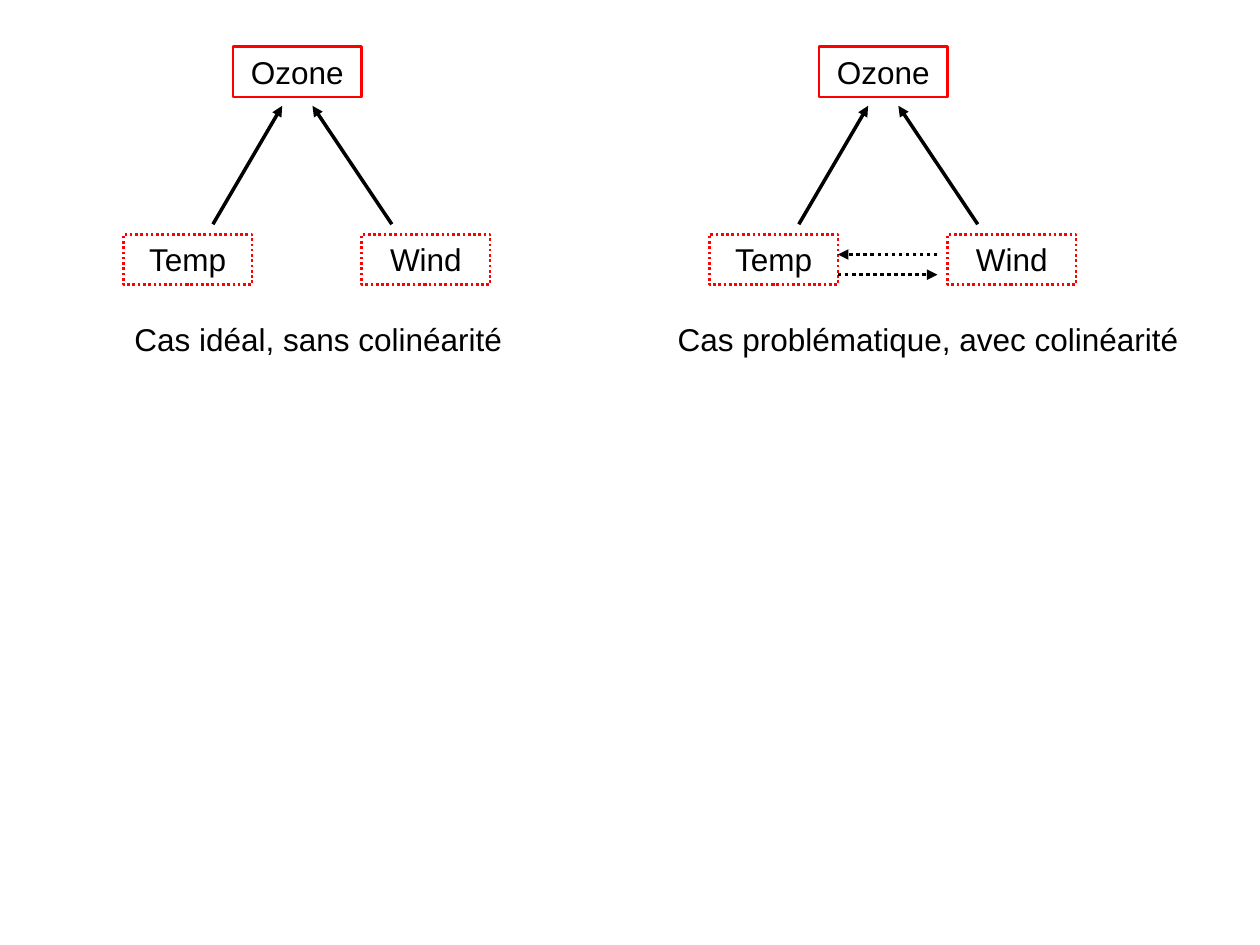
from dataclasses import dataclass

import pptx
import pptx.dml.color
import pptx.enum.dml
import pptx.enum.shapes
import pptx.enum.text
import pptx.oxml.ns
import pptx.util
from lxml import etree

Inches = pptx.util.Inches
DOTTED = pptx.enum.dml.MSO_LINE.ROUND_DOT
RED, BLACK = "FF0000", "000000"
BOX_W, BOX_H = 1.02, 0.4
FONT = {"name": "Arial", "size": pptx.util.Pt(18)}
FRAME = {
    "word_wrap": True,
    "vertical_anchor": pptx.enum.text.MSO_ANCHOR.TOP,
    "margin_left": Inches(0.1),
    "margin_right": Inches(0.1),
    "margin_top": Inches(0.05),
    "margin_bottom": Inches(0.05),
}


@dataclass
class Node:
    text: str
    x: float
    y: float
    dotted: bool = False


@dataclass
class Arrow:
    x1: float
    y1: float
    x2: float
    y2: float
    dotted: bool = False


@dataclass
class Diagram:
    x: float
    caption: str
    caption_x: float
    caption_w: float
    links: list[Arrow]


# Positions inside a diagram, measured from its left edge
NODES = [
    Node("Ozone", 0.87, 0.37),
    Node("Wind", 1.89, 1.86, True),
    Node("Temp", 0, 1.86, True),
]
EFFECTS = [Arrow(0.71, 1.78, 1.26, 0.84), Arrow(2.13, 1.78, 1.5, 0.84)]
COLLINEARITY = [
    Arrow(1.81, 2.02, 1.02, 2.02, True),
    Arrow(1.02, 2.18, 1.81, 2.18, True),
]
DIAGRAMS = [
    Diagram(0.98, "Cas idéal, sans colinéarité", 0.83, 3.39, []),
    Diagram(5.63, "Cas problématique, avec colinéarité", 5.16, 4.41, COLLINEARITY),
]


def rgb(color: str) -> pptx.dml.color.RGBColor:
    return pptx.dml.color.RGBColor.from_string(color)


def format_line(line, color: str, width: float, dotted: bool) -> None:
    line.color.rgb = rgb(color)
    line.width = pptx.util.Pt(width)
    if dotted:
        line.dash_style = DOTTED


def write_text(sp, text: str) -> None:
    tf = sp.text_frame
    for key, value in FRAME.items():
        setattr(tf, key, value)
    p = tf.paragraphs[0]
    p.alignment = pptx.enum.text.PP_ALIGN.CENTER
    r = p.add_run()
    r.text = text
    for key, value in FONT.items():
        setattr(r.font, key, value)
    r.font.color.rgb = rgb(BLACK)


def add_node(s, node: Node, dx: float) -> None:
    sp = s.shapes.add_shape(
        pptx.enum.shapes.MSO_SHAPE.RECTANGLE,
        Inches(dx + node.x), Inches(node.y), Inches(BOX_W), Inches(BOX_H),
    )
    sp.shadow.inherit = False
    sp.fill.background()
    format_line(sp.line, RED, 1.5, node.dotted)
    write_text(sp, node.text)


def add_arrow(s, arrow: Arrow, dx: float) -> None:
    sp = s.shapes.add_connector(
        pptx.enum.shapes.MSO_CONNECTOR.STRAIGHT,
        Inches(dx + arrow.x1), Inches(arrow.y1),
        Inches(dx + arrow.x2), Inches(arrow.y2),
    )
    format_line(sp.line, BLACK, 2, arrow.dotted)
    qn = pptx.oxml.ns.qn
    etree.SubElement(sp.line._get_or_add_ln(), qn("a:tailEnd"), type="triangle")
    etree.SubElement(sp._element.spPr, qn("a:effectLst"))


def add_diagram(s, diagram: Diagram) -> None:
    for node in NODES:
        add_node(s, node, diagram.x)
    for arrow in EFFECTS + diagram.links:
        add_arrow(s, arrow, diagram.x)
    caption = s.shapes.add_textbox(
        Inches(diagram.caption_x), Inches(2.49),
        Inches(diagram.caption_w), Inches(BOX_H),
    )
    write_text(caption, diagram.caption)


def main() -> None:
    prs = pptx.Presentation()
    prs.slide_width, prs.slide_height = Inches(10), Inches(7.5)
    s = prs.slides.add_slide(prs.slide_layouts[6])  # blank: there is no title
    for diagram in DIAGRAMS:
        add_diagram(s, diagram)
    prs.save("out.pptx")


if __name__ == "__main__":
    main()
